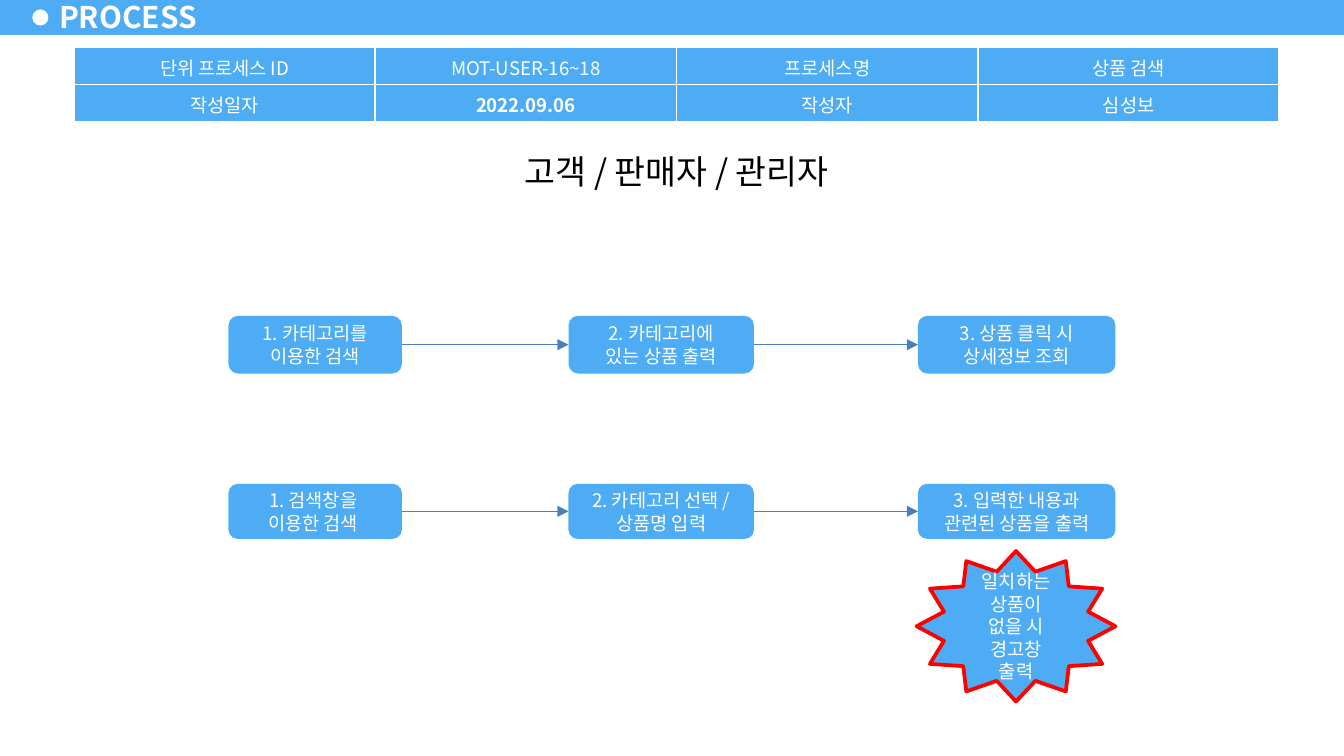
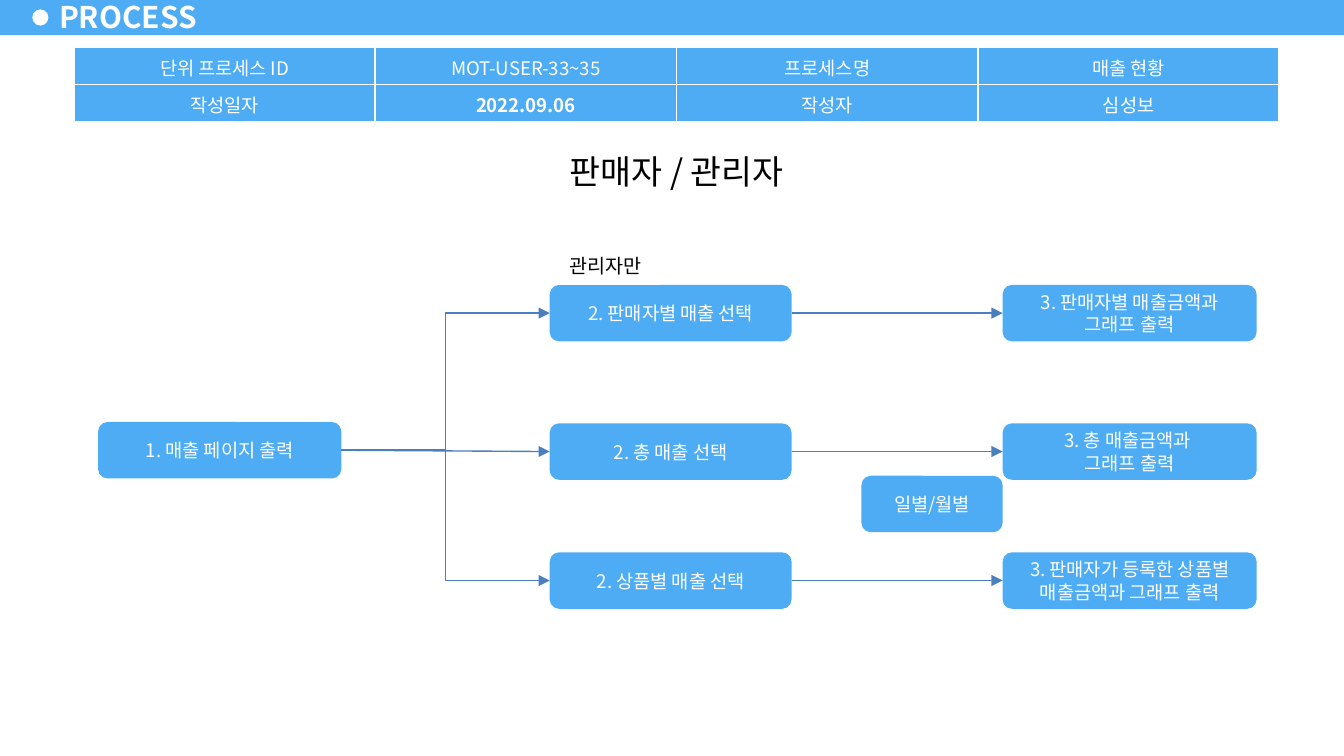
from lxml.etree import SubElement
from pptx import Presentation
from pptx.dml.color import RGBColor
from pptx.enum.shapes import MSO_CONNECTOR as Link, MSO_SHAPE as Shape
from pptx.enum.text import MSO_ANCHOR as Anchor, PP_ALIGN as Align
from pptx.oxml.ns import qn
from pptx.util import Inches, Pt

BLUE = RGBColor(0x4D, 0xAC, 0xF3)
LINE_BLUE = RGBColor(0x4B, 0x7E, 0xBC)
RED = RGBColor(0xFF, 0x00, 0x00)
WHITE = RGBColor(0xFF, 0xFF, 0xFF)
BLACK = RGBColor(0x00, 0x00, 0x00)
FONT = "Noto Sans CJK KR"
LEFT_SITE, RIGHT_SITE = 1, 3


def write(frame, text, size=10, color=WHITE, bold=False, align=Align.CENTER):
    """Fill a text frame: \\n starts a paragraph, \\v breaks a line."""
    frame.text = text
    frame.word_wrap = True
    for para in frame.paragraphs:
        para.alignment = align
        font = para.font
        font.name, font.size, font.bold = FONT, Pt(size), bold
        font.color.rgb = color
        defaults = para._p.pPr.find(qn("a:defRPr"))
        SubElement(defaults, qn("a:ea")).set("typeface", FONT)


def add_block(page, kind, left, top, width, height, fill=BLUE):
    """Add a flat preset shape without outline."""
    box = page.shapes.add_shape(
        kind, Inches(left), Inches(top), Inches(width), Inches(height))
    box.shadow.inherit = False
    box.fill.solid()
    box.fill.fore_color.rgb = fill
    box.line.fill.background()
    return box


def add_step(page, column, row, text):
    """Add a rounded step box; column is left, width and row is top, height."""
    (left, width), (top, height) = column, row
    box = add_block(page, Shape.ROUNDED_RECTANGLE, left, top, width, height)
    box.text_frame.vertical_anchor = Anchor.MIDDLE
    write(box.text_frame, text)
    return box


def add_label(page, left, top, width, height, text, size):
    """Add black text on a white rectangle."""
    box = add_block(page, Shape.RECTANGLE, left, top, width, height, WHITE)
    box.text_frame.vertical_anchor = Anchor.TOP
    write(box.text_frame, text, size, BLACK)


def add_arrow(page, start, end, kind=Link.STRAIGHT):
    """Join the right side of one box to the left side of another."""
    arrow = page.shapes.add_connector(
        kind, start.left + start.width, start.top + start.height // 2,
        end.left, end.top + end.height // 2)
    arrow.begin_connect(start, RIGHT_SITE)
    arrow.end_connect(end, LEFT_SITE)
    arrow.line.color.rgb = LINE_BLUE
    arrow.line.width = Pt(0.75)
    SubElement(arrow.line._get_or_add_ln(), qn("a:tailEnd")).set("type", "triangle")
    SubElement(arrow._element.spPr, qn("a:effectLst"))


def add_cell_borders(cell):
    """Draw white one-point borders around a cell."""
    props = cell._tc.get_or_add_tcPr()
    for index, side in enumerate(("lnL", "lnR", "lnT", "lnB")):
        line = props.makeelement(qn(f"a:{side}"), {"w": str(Pt(1))})
        fill = SubElement(line, qn("a:solidFill"))
        SubElement(fill, qn("a:srgbClr")).set("val", str(WHITE))
        props.insert(index, line)


def add_info_table(page, process_id, process_name):
    """Add the table that identifies the process."""
    rows = (("단위 프로세스 ID", process_id, "프로세스명", process_name),
            ("작성일자", "2022.09.06", "작성자", "심성보"))
    table = page.shapes.add_table(
        2, 4, Inches(0.55), Inches(0.35), Inches(8.97), Inches(0.56)).table
    table.first_row = table.horz_banding = False
    for row_index, texts in enumerate(rows):
        for column_index, text in enumerate(texts):
            cell = table.cell(row_index, column_index)
            cell.vertical_anchor = Anchor.MIDDLE
            cell.fill.solid()
            cell.fill.fore_color.rgb = BLUE
            add_cell_borders(cell)
            write(cell.text_frame, text, bold=(row_index, column_index) == (1, 1))


def add_page(deck, process_id, process_name, roles):
    """Add a page with the shared band, title, table and role heading."""
    page = deck.slides.add_slide(deck.slide_layouts[6])
    add_block(page, Shape.RECTANGLE, 0, -0.02, 10, 0.28)
    add_block(page, Shape.OVAL, 0.24, 0.07, 0.12, 0.12, WHITE)
    title = page.shapes.add_textbox(
        Inches(0.35), Inches(-0.04), Inches(1.22), Inches(0.32))
    frame = title.text_frame
    frame.margin_left = frame.margin_right = Inches(0.09)
    frame.margin_top = frame.margin_bottom = Inches(0.04)
    frame.vertical_anchor = Anchor.MIDDLE
    write(frame, "PROCESS", 16, bold=True, align=Align.LEFT)
    add_label(page, 3.25, 1.07, 3.57, 0.41, roles, 18)
    add_info_table(page, process_id, process_name)
    return page


def add_search_page(deck):
    """Build the product search process."""
    page = add_page(deck, "MOT-USER-16~18", "상품 검색", "고객 / 판매자 / 관리자")
    columns = ((1.7, 1.29), (4.23, 1.38), (6.83, 1.47))
    flows = (
        ((2.35, 0.43), Link.ELBOW,
         ("1. 카테고리를\v이용한 검색", "2. 카테고리에\n있는 상품 출력",
          "3. 상품 클릭 시\n상세정보 조회")),
        ((3.6, 0.41), Link.STRAIGHT,
         ("1. 검색창을 \v이용한 검색 ", "2. 카테고리 선택 / 상품명 입력",
          "3. 입력한 내용과\n관련된 상품을 출력")),
    )
    for row, first_link, texts in flows:
        first, second, third = [
            add_step(page, column, row, text)
            for column, text in zip(columns, texts)]
        add_arrow(page, first, second, first_link)
        add_arrow(page, second, third)
    warning = add_block(page, Shape.STAR_12_POINT, 6.82, 4.1, 1.48, 1.12)
    warning.line.color.rgb = RED
    warning.line.width = Pt(2)
    warning.text_frame.vertical_anchor = Anchor.MIDDLE
    write(warning.text_frame, "일치하는\v상품이 없을 시\n경고창 출력")


def add_sales_page(deck):
    """Build the sales status process."""
    page = add_page(deck, "MOT-USER-33~35", "매출 현황", "판매자 / 관리자")
    start_column, choice_column, result_column = (0.73, 1.81), (4.09, 1.8), (7.46, 1.89)
    height = 0.42
    start = add_step(page, start_column, (3.14, height), "1. 매출 페이지 출력")
    branches = (
        (2.12, Link.ELBOW, "2. 판매자별 매출 선택", "3. 판매자별 매출금액과\n그래프 출력"),
        (3.15, Link.STRAIGHT, "2. 총 매출 선택", "3. 총 매출금액과 \n그래프 출력"),
        (4.11, Link.ELBOW, "2. 상품별 매출 선택",
         "3. 판매자가 등록한 상품별 매출금액과 그래프 출력"),
    )
    for top, link, choice_text, result_text in branches:
        choice = add_step(page, choice_column, (top, height), choice_text)
        result = add_step(page, result_column, (top, height), result_text)
        add_arrow(page, start, choice, link)
        add_arrow(page, choice, result)
    add_label(page, 4.1, 1.84, 0.81, 0.28, "관리자만", 10.5)
    add_step(page, (6.41, 1.05), (3.54, height), "일별/월별")


def main():
    """Build and save the widescreen deck."""
    deck = Presentation()
    deck.slide_width = Inches(10)
    deck.slide_height = deck.slide_width * 9 // 16
    add_search_page(deck)
    add_sales_page(deck)
    deck.save("out.pptx")


main()
